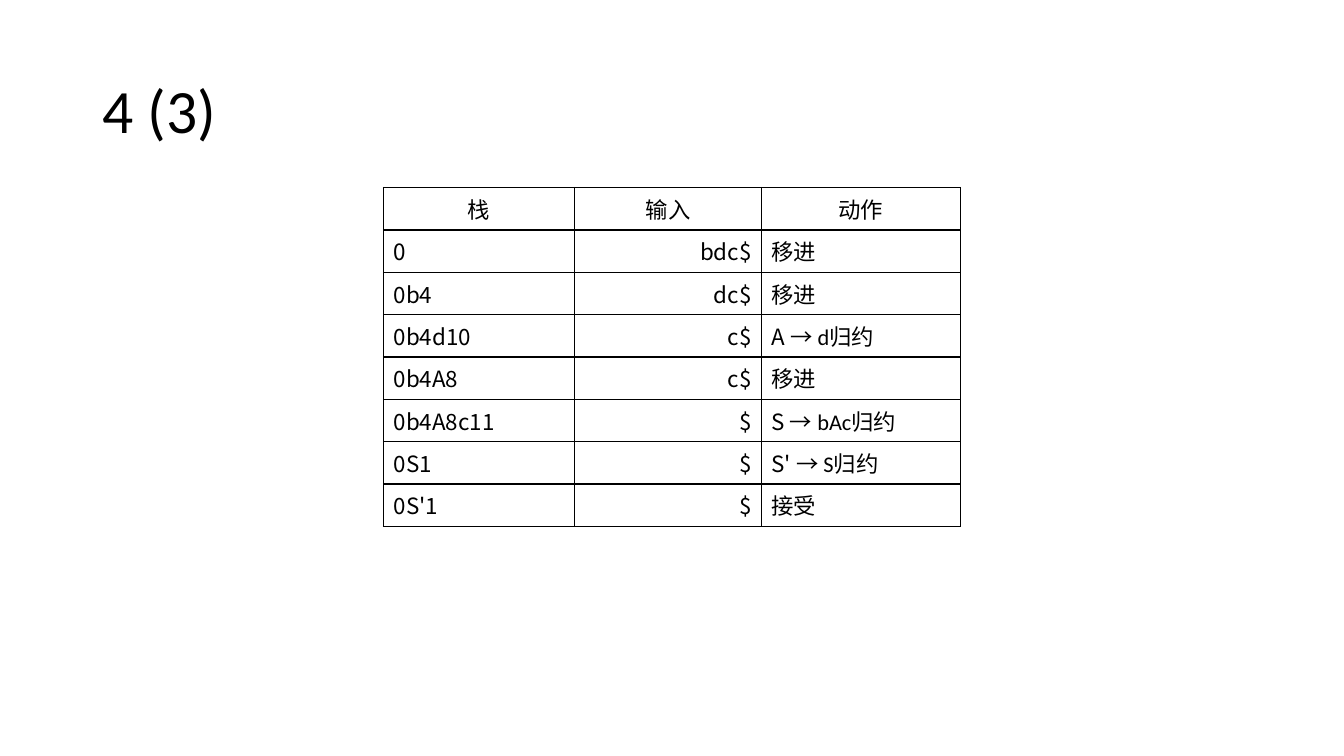
import lxml.etree
import pptx
import pptx.dml.color
import pptx.enum.text
import pptx.oxml.ns
import pptx.util

Pt = pptx.util.Pt
ALIGN = pptx.enum.text.PP_ALIGN
MIDDLE = pptx.enum.text.MSO_ANCHOR.MIDDLE
LATIN = "Calibri"
CJK = "Noto Sans CJK SC"
BLACK = "000000"
WHITE = "FFFFFF"

HEADINGS = ["栈", "输入", "动作"]
# Stack, input, and the action as a production head and the rest
STEPS = [
    ("0", "bdc$", "", "移进"),
    ("0b4", "dc$", "", "移进"),
    ("0b4d10", "c$", "A → ", "d归约"),
    ("0b4A8", "c$", "", "移进"),
    ("0b4A8c11", "$", "S → ", "bAc归约"),
    ("0S1", "$", "S' → ", "S归约"),
    ("0S'1", "$", "", "接受"),
]
COLUMN_WIDTHS = [136.5, 133.5, 142]
ROW_HEIGHT = 30.25


def rgb(value):
    return pptx.dml.color.RGBColor.from_string(value)


def add_text(para, text, font=LATIN, size=16, color=BLACK):
    span = para.add_run()
    span.text = text
    span.font.name = font
    span.font.size = Pt(size)
    span.font.color.rgb = rgb(color)
    east_asian = lxml.etree.SubElement(span.font._element, pptx.oxml.ns.qn("a:ea"))
    east_asian.set("typeface", CJK)


def add_borders(cell, color=BLACK, width=1):
    properties = cell._tc.get_or_add_tcPr()
    for side in ("L", "R", "T", "B"):
        line = lxml.etree.SubElement(properties, pptx.oxml.ns.qn(f"a:ln{side}"))
        line.set("w", str(Pt(width)))
        fill = lxml.etree.SubElement(line, pptx.oxml.ns.qn("a:solidFill"))
        lxml.etree.SubElement(fill, pptx.oxml.ns.qn("a:srgbClr")).set("val", color)


def fill_cell(cell, parts, align):
    add_borders(cell)
    cell.fill.solid()
    cell.fill.fore_color.rgb = rgb(WHITE)
    cell.vertical_anchor = MIDDLE
    para = cell.text_frame.paragraphs[0]
    para.alignment = align
    for text, font in parts:
        if text:
            add_text(para, text, font=font)


def add_title(page, text):
    box = page.shapes.add_textbox(Pt(66), Pt(28.75), Pt(828), Pt(104.4))
    box.text_frame.word_wrap = True
    box.text_frame.vertical_anchor = MIDDLE
    para = box.text_frame.paragraphs[0]
    para.line_spacing = 0.9
    add_text(para, text, size=44)


def add_parse_table(page):
    row_count = len(STEPS) + 1
    frame = page.shapes.add_table(
        row_count, len(HEADINGS), Pt(274), Pt(134),
        Pt(sum(COLUMN_WIDTHS)), Pt(ROW_HEIGHT * row_count))
    table = frame.table
    for column, width in zip(table.columns, COLUMN_WIDTHS):
        column.width = Pt(width)
    for row in table.rows:
        row.height = Pt(ROW_HEIGHT)

    # Heading row
    for index, heading in enumerate(HEADINGS):
        fill_cell(table.cell(0, index), [(heading, LATIN)], ALIGN.CENTER)

    # Parsing steps
    for index, (stack, remaining, head, action) in enumerate(STEPS, start=1):
        fill_cell(table.cell(index, 0), [(stack, CJK)], ALIGN.LEFT)
        fill_cell(table.cell(index, 1), [(remaining, CJK)], ALIGN.RIGHT)
        fill_cell(table.cell(index, 2), [(head, CJK), (action, LATIN)], ALIGN.LEFT)


def main():
    deck = pptx.Presentation()
    deck.slide_width = Pt(960)
    deck.slide_height = Pt(540)
    page = deck.slides.add_slide(deck.slide_layouts[6])
    add_title(page, "4 (3)")
    add_parse_table(page)
    deck.save("out.pptx")


if __name__ == "__main__":
    main()
